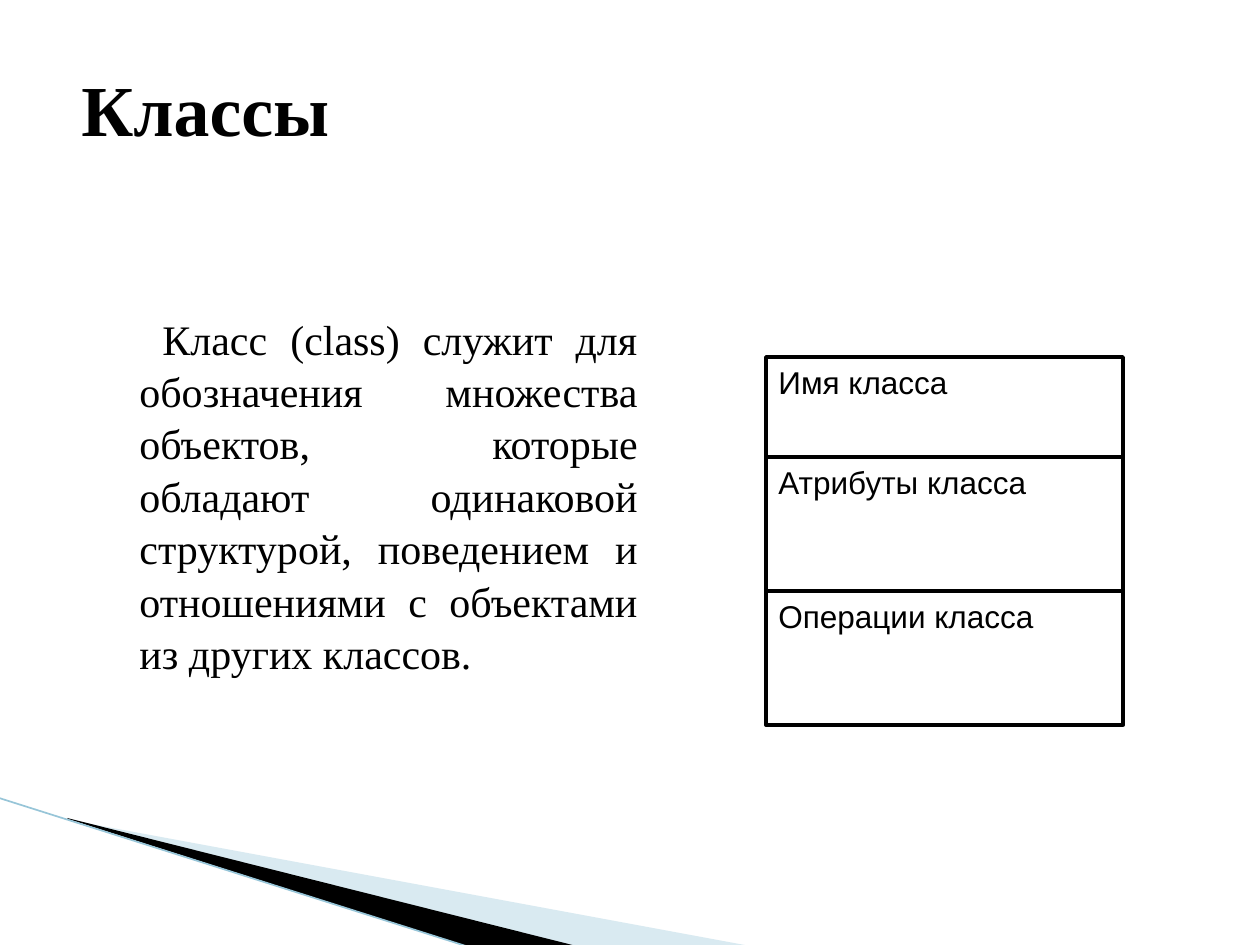
"""Build a slide that defines a class and shows its three-part box."""
from pptx import Presentation
from pptx.dml.color import RGBColor
from pptx.enum.shapes import MSO_CONNECTOR, MSO_SHAPE
from pptx.enum.text import MSO_ANCHOR, PP_ALIGN
from pptx.oxml.ns import qn
from pptx.util import Emu, Pt
from lxml import etree

RECTANGLE, STRAIGHT = MSO_SHAPE.RECTANGLE, MSO_CONNECTOR.STRAIGHT
TOP, MIDDLE = MSO_ANCHOR.TOP, MSO_ANCHOR.MIDDLE
LEFT, JUSTIFY = PP_ALIGN.LEFT, PP_ALIGN.JUSTIFY

PX = 914400 / 126
SLIDE_SIZE = (1260, 945)

THEME = {
    "ink": RGBColor(0x00, 0x00, 0x00),
    "paper": RGBColor(0xFF, 0xFF, 0xFF),
    "pale_wedge": RGBColor(0xA0, 0xCB, 0xDC),
    "edge": RGBColor(0x97, 0xC5, 0xD8),
    "edge_width": Pt(0.95),
    "border_width": Pt(2),
    "title": {"name": "Times New Roman", "size": Pt(41), "bold": True},
    "definition": {"name": "Times New Roman", "size": Pt(24)},
    "compartment": {"name": "Arial", "size": Pt(18)},
}

TITLE = "Классы"
TITLE_BOX = (69, 29, 1017, 158)
DEFINITION = (
    "Класс (class) служит для обозначения множества объектов, которые обладают "
    "одинаковой структурой, поведением и отношениями с объектами из других классов."
)
DEFINITION_BOX = (112, 305, 538, 534)
DEFINITION_INDENTS = {"marL": 15, "indent": 23}
COMPARTMENTS = [("Имя класса", 100), ("Атрибуты класса", 134), ("Операции класса", 134)]
CLASS_LEFT, CLASS_TOP, CLASS_WIDTH = 766, 357, 357
WEDGES = [
    ([(69, 820), (750, 946), (575, 946), (69, 819)], "pale_wedge", 40),
    ([(67, 818), (576, 946), (469, 947), (68, 819)], "ink", 100),
]
EDGE = (-1, 798, 469, 947)


def px(*lengths):
    return [Emu(round(length * PX)) for length in lengths]


def write(shape, text, style, anchor=TOP, **paragraph_format):
    frame = shape.text_frame
    frame.word_wrap = True
    frame.vertical_anchor = anchor
    paragraph = frame.paragraphs[0]
    for key, value in {"alignment": LEFT, **paragraph_format}.items():
        setattr(paragraph, key, value)
    run = paragraph.add_run()
    run.text = text
    for key, value in THEME[style].items():
        setattr(run.font, key, value)
    run.font.color.rgb = THEME["ink"]
    return paragraph


def paint(shape, color):
    shape.shadow.inherit = False
    shape.fill.solid()
    shape.fill.fore_color.rgb = THEME[color]


def add_wedge(slide, points, color, opacity):
    corners = [px(*point) for point in points]
    builder = slide.shapes.build_freeform(*corners[0], scale=1.0)
    builder.add_line_segments(corners[1:], close=True)
    wedge = builder.convert_to_shape()
    paint(wedge, color)
    wedge.line.fill.background()
    if opacity < 100:
        tint = wedge.fill._xPr.find(qn("a:solidFill"))[0]
        etree.SubElement(tint, qn("a:alpha")).set("val", str(opacity * 1000))


def add_edge(slide):
    edge = slide.shapes.add_connector(STRAIGHT, *px(*EDGE))
    edge.line.color.rgb = THEME["edge"]
    edge.line.width = THEME["edge_width"]
    etree.SubElement(edge._element.spPr, qn("a:effectLst"))


def add_class_box(slide):
    class_box = slide.shapes.add_group_shape()
    top = CLASS_TOP
    for label, height in COMPARTMENTS:
        compartment = class_box.shapes.add_shape(
            RECTANGLE, *px(CLASS_LEFT, top, CLASS_WIDTH, height)
        )
        paint(compartment, "paper")
        compartment.line.color.rgb = THEME["ink"]
        compartment.line.width = THEME["border_width"]
        write(compartment, label, "compartment")
        top += height


def main():
    deck = Presentation()
    deck.slide_width, deck.slide_height = px(*SLIDE_SIZE)
    slide = deck.slides.add_slide(deck.slide_layouts[6])
    for wedge in WEDGES:
        add_wedge(slide, *wedge)
    add_edge(slide)
    write(slide.shapes.add_textbox(*px(*TITLE_BOX)), TITLE, "title", MIDDLE)
    definition = write(
        slide.shapes.add_textbox(*px(*DEFINITION_BOX)), DEFINITION, "definition",
        alignment=JUSTIFY, space_before=Pt(4), line_spacing=1.04,
    )
    for key, value in DEFINITION_INDENTS.items():
        definition._p.get_or_add_pPr().set(key, str(px(value)[0]))
    add_class_box(slide)
    deck.save("out.pptx")


if __name__ == "__main__":
    main()
